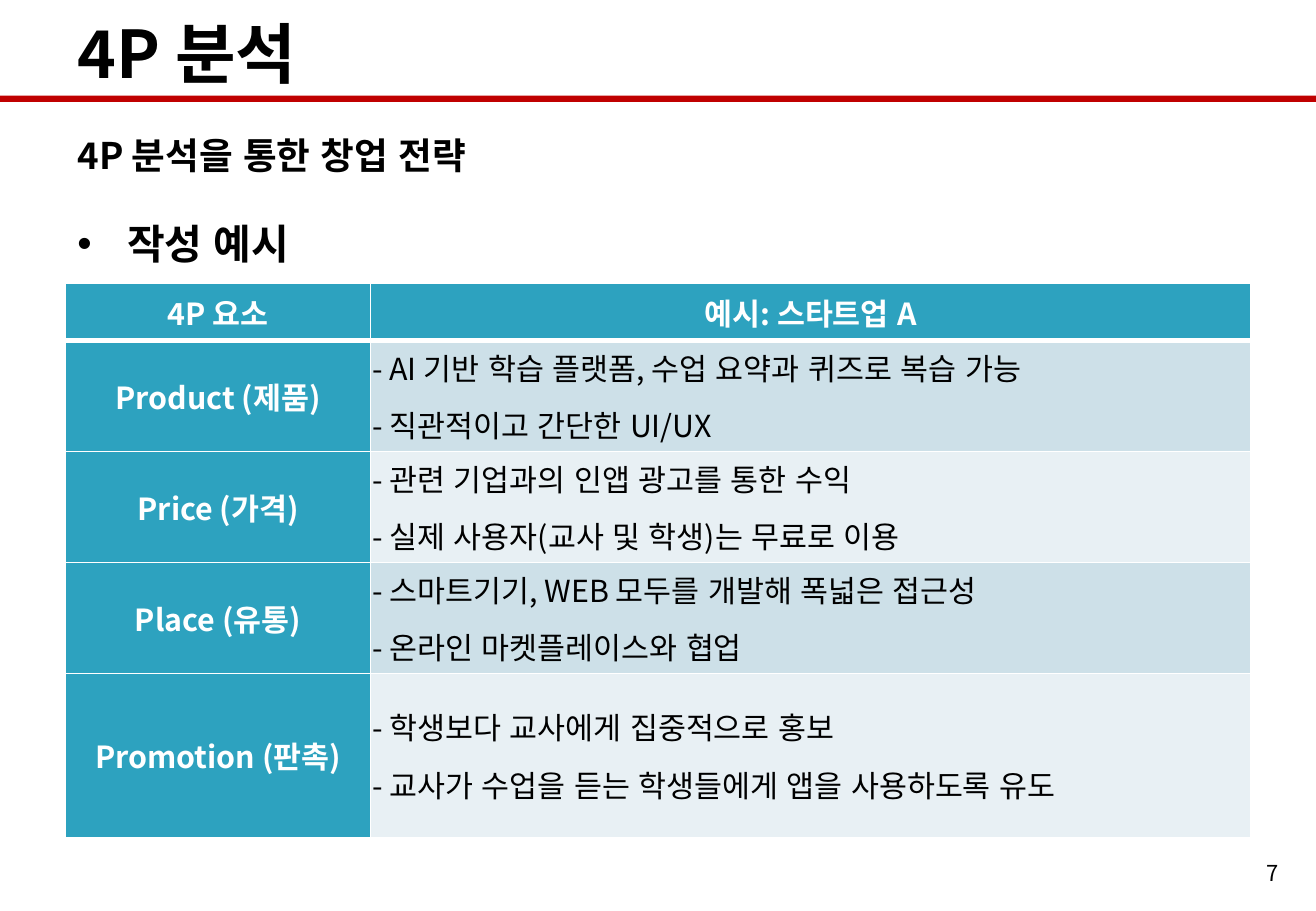
from dataclasses import dataclass

from lxml.etree import SubElement
from pptx import Presentation
from pptx.dml.color import RGBColor
from pptx.enum.lang import MSO_LANGUAGE_ID as LANG
from pptx.enum.shapes import MSO_SHAPE
from pptx.enum.text import MSO_ANCHOR as ANCHOR, PP_ALIGN as ALIGN
from pptx.oxml import parse_xml
from pptx.oxml.ns import nsdecls, qn
from pptx.util import Cm, Pt


@dataclass(frozen=True)
class Theme:
    font: str = "Noto Sans CJK KR"
    text: str = "000000"
    white: str = "FFFFFF"
    rule: str = "C00000"
    header: str = "2DA2BF"
    bands: tuple = ("CDE0E8", "E8F0F4")
    title: float = 39
    subtitle: float = 21.7
    heading: float = 24.3
    cell: float = 18
    number: float = 13


T = Theme()
WIDTH, HEIGHT = 27.51, 19.05
LEFT, CONTENT_WIDTH = 1.37, 24.77
COLUMNS = (6.38, 18.39)
ROWS = (1.2, 2.32, 2.32, 2.32, 3.43)
HEADINGS = ("4P 요소", "예시: 스타트업 A")
STRATEGIES = (
    ("Product (제품)", ("- AI 기반 학습 플랫폼, 수업 요약과 퀴즈로 복습 가능",
                      "- 직관적이고 간단한 UI/UX")),
    ("Price (가격)", ("- 관련 기업과의 인앱 광고를 통한 수익",
                    "- 실제 사용자(교사 및 학생)는 무료로 이용")),
    ("Place (유통)", ("- 스마트기기, WEB 모두를 개발해 폭넓은 접근성",
                    "- 온라인 마켓플레이스와 협업")),
    ("Promotion (판촉)", ("- 학생보다 교사에게 집중적으로 홍보",
                        "- 교사가 수업을 듣는 학생들에게 앱을 사용하도록 유도")),
)


def write(p, text, size, color=T.text, bold=False, align=ALIGN.LEFT, after=0):
    """Put one formatted run into a paragraph."""
    p.alignment, p.space_after = align, Pt(after)
    r = p.add_run()
    r.text = text
    r.font.size, r.font.bold = Pt(size), bold
    r.font.language_id = LANG.KOREAN
    r.font.color.rgb = RGBColor.from_string(color)
    r.font.name = T.font
    SubElement(r.font._element, qn("a:ea"), typeface=T.font)


def add_text(s, box, text, size, anchor=ANCHOR.MIDDLE, **fmt):
    tf = s.shapes.add_textbox(*map(Cm, box)).text_frame
    tf.word_wrap, tf.vertical_anchor = True, anchor
    p = tf.paragraphs[0]
    write(p, text, size, **fmt)
    return p


def add_bullet(p, indent):
    pPr = p._p.get_or_add_pPr()
    pPr.set("marL", str(Cm(indent)))
    pPr.set("indent", str(-Cm(indent)))
    SubElement(pPr, qn("a:buFont"), typeface="Arial")
    SubElement(pPr, qn("a:buChar"), char="•")


def set_borders(cell, **widths):
    """Draw white borders; widths are points by side: L, R, T, B."""
    tcPr = cell._tc.get_or_add_tcPr()
    for i, side in enumerate("LRTB"):
        width = Pt(widths.get(side, 1))
        tcPr.insert(i, parse_xml(
            f'<a:ln{side} {nsdecls("a")} w="{width}"><a:solidFill>'
            f'<a:srgbClr val="{T.white}"/></a:solidFill></a:ln{side}>'))


def fill_cell(cell, lines, fill, borders, **fmt):
    cell.fill.solid()
    cell.fill.fore_color.rgb = RGBColor.from_string(fill)
    cell.vertical_anchor = ANCHOR.MIDDLE
    cell.margin_left = cell.margin_right = Cm(0.03)
    cell.margin_top = cell.margin_bottom = Cm(0.03)
    tf = cell.text_frame
    for i, line in enumerate(lines):
        p = tf.add_paragraph() if i else tf.paragraphs[0]
        write(p, line, T.cell, after=8, **fmt)
    set_borders(cell, **borders)


def add_header(s, x, y, w):
    # Title, full-width rule and subtitle
    add_text(s, (x, y + 0.13, w, 1.93), "4P 분석", T.title, bold=True)
    rule = s.shapes.add_shape(MSO_SHAPE.RECTANGLE, 0, Cm(y + 2), Cm(WIDTH), Cm(0.13))
    rule.shadow.inherit = False
    rule.fill.solid()
    rule.fill.fore_color.rgb = RGBColor.from_string(T.rule)
    rule.line.fill.background()
    add_text(s, (x, y + 2.13, w, 2.21), "4P 분석을 통한 창업 전략", T.subtitle, bold=True)


def add_example(s, x, y, w):
    # Bulleted heading
    p = add_text(s, (x, y, w, 1.4), "작성 예시", T.heading, ANCHOR.TOP, bold=True)
    add_bullet(p, 1.04)

    # Strategy table
    box = map(Cm, (x, y + 1.47, w, sum(ROWS)))
    table = s.shapes.add_table(len(ROWS), len(COLUMNS), *box).table
    for column, width in zip(table.columns, COLUMNS):
        column.width = Cm(width)
    for row, height in zip(table.rows, ROWS):
        row.height = Cm(height)
    label = dict(color=T.white, bold=True, align=ALIGN.CENTER)
    for c, heading in enumerate(HEADINGS):
        fill_cell(table.cell(0, c), [heading], T.header, {"B": 3}, **label)
    for i, (element, lines) in enumerate(STRATEGIES):
        borders = {"T": 1 if i else 3}
        fill_cell(table.cell(i + 1, 0), [element], T.header, borders, **label)
        fill_cell(table.cell(i + 1, 1), lines, T.bands[i % 2], borders)


def add_page_number(s, right, bottom, number):
    w, h = 6.43, 1.02
    add_text(s, (right - w, bottom - h, w, h), number, T.number, align=ALIGN.RIGHT)


def main():
    prs = Presentation()
    prs.slide_width, prs.slide_height = Cm(WIDTH), Cm(HEIGHT)
    s = prs.slides.add_slide(prs.slide_layouts[6])
    add_header(s, LEFT, 0, CONTENT_WIDTH)
    add_example(s, LEFT, 4.45, CONTENT_WIDTH)
    add_page_number(s, WIDTH - 0.53, HEIGHT - 0.3, "7")
    prs.save("out.pptx")


if __name__ == "__main__":
    main()
